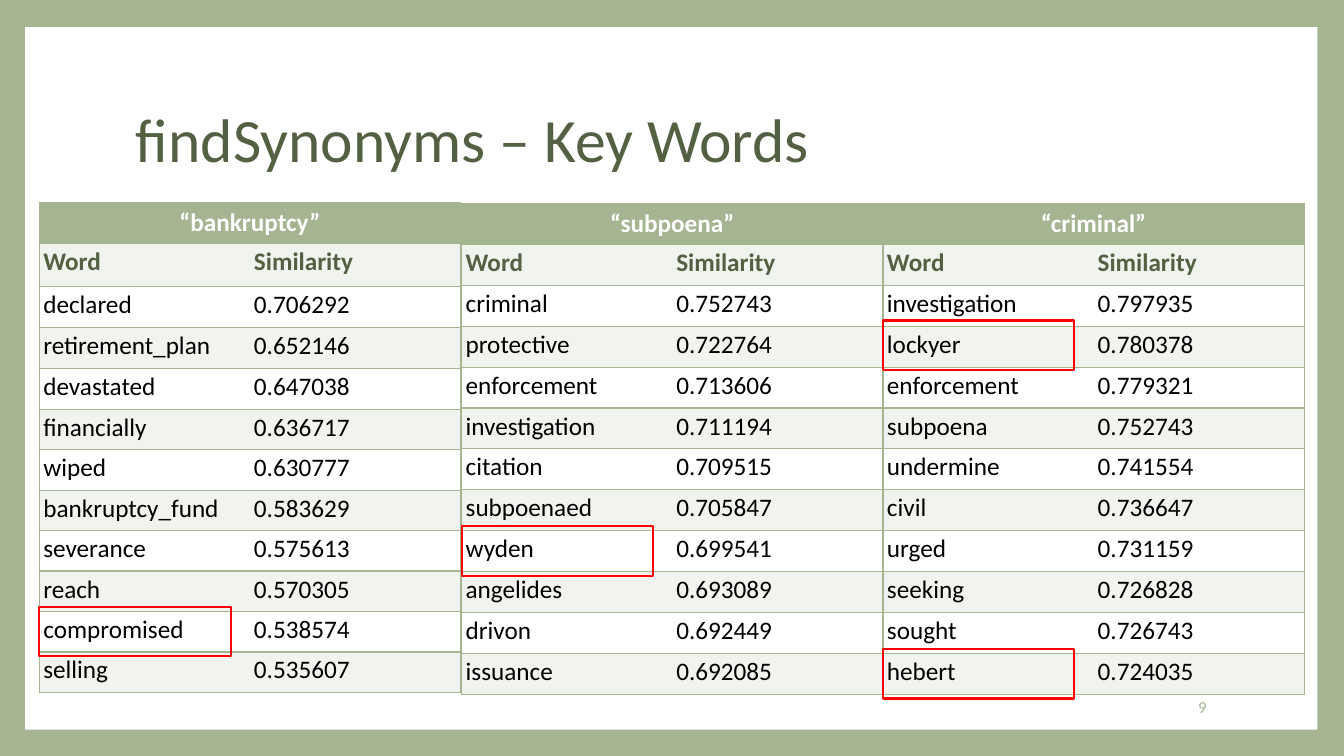
from lxml.etree import SubElement
from pptx import Presentation
from pptx.dml.color import RGBColor
from pptx.enum.shapes import MSO_SHAPE
from pptx.enum.text import MSO_ANCHOR, PP_ALIGN
from pptx.oxml.ns import qn
from pptx.util import Pt

SYNONYMS = [
    ("“bankruptcy”", (39, 201, 418, 486), (41, 42, 41, 41), [
        ("declared", "0.706292"), ("retirement_plan", "0.652146"),
        ("devastated", "0.647038"), ("financially", "0.636717"),
        ("wiped", "0.630777"), ("bankruptcy_fund", "0.583629"),
        ("severance", "0.575613"), ("reach", "0.570305"),
        ("compromised", "0.538574"), ("selling", "0.535607")]),
    ("“subpoena”", (458, 202, 418, 487), (), [
        ("criminal", "0.752743"), ("protective", "0.722764"),
        ("enforcement", "0.713606"), ("investigation", "0.711194"),
        ("citation", "0.709515"), ("subpoenaed", "0.705847"),
        ("wyden", "0.699541"), ("angelides", "0.693089"),
        ("drivon", "0.692449"), ("issuance", "0.692085")]),
    ("“criminal”", (876, 202, 418, 487), (), [
        ("investigation", "0.797935"), ("lockyer", "0.780378"),
        ("enforcement", "0.779321"), ("subpoena", "0.752743"),
        ("undermine", "0.741554"), ("civil", "0.736647"),
        ("urged", "0.731159"), ("seeking", "0.726828"),
        ("sought", "0.726743"), ("hebert", "0.724035")]),
]
HIGHLIGHTS = [(458, 522), (39, 602), (876, 644), (876, 318)]


def px(length):
    return round(length * 9144)


def color(value):
    return RGBColor.from_string(value)


class SlideBuilder:
    """Holds the style and the current slide, and draws each kind of element."""

    font = "Calibri"
    sage, pale, white = "A5B592", "F0F3EE", "FFFFFF"
    olive, black, red = "536142", "000000", "FF0000"

    def __init__(self, presentation):
        self.slide = presentation.slides.add_slide(presentation.slide_layouts[6])
        fill = self.slide.background.fill
        fill.solid()
        fill.fore_color.rgb = color(self.sage)

    def set_text(self, text_frame, text, size, ink, bold=False, align=PP_ALIGN.LEFT):
        text_frame.text = text
        paragraph = text_frame.paragraphs[0]
        paragraph.alignment = align
        font = paragraph.runs[0].font
        font.name, font.size, font.bold = self.font, Pt(size), bold
        font.color.rgb = color(ink)
        return paragraph

    def text(self, box, text, size, ink, align=PP_ALIGN.LEFT):
        text_frame = self.slide.shapes.add_textbox(*map(px, box)).text_frame
        text_frame.word_wrap = True
        text_frame.vertical_anchor = MSO_ANCHOR.MIDDLE
        return self.set_text(text_frame, text, size, ink, align=align)

    def rectangle(self, box, fill=None, line=None):
        shape = self.slide.shapes.add_shape(MSO_SHAPE.RECTANGLE, *map(px, box))
        shape.shadow.inherit = False
        if fill:
            shape.fill.solid()
            shape.fill.fore_color.rgb = color(fill)
        else:
            shape.fill.background()
        if line:
            shape.line.color.rgb = color(line)
            shape.line.width = Pt(1.5)
        else:
            shape.line.fill.background()

    def cell(self, cell, fill, sides):
        properties = cell._tc.get_or_add_tcPr()
        for side in "LRTB":
            border = SubElement(properties, qn(f"a:ln{side}"), w=str(Pt(1)))
            if side in sides:
                solid = SubElement(border, qn("a:solidFill"))
                SubElement(solid, qn("a:srgbClr"), val=self.sage)
            else:
                SubElement(border, qn("a:noFill"))
        cell.fill.solid()
        cell.fill.fore_color.rgb = color(fill)

    def table(self, box, keyword, leading_heights, synonyms):
        rows = [(keyword, ""), ("Word", "Similarity"), *synonyms]
        table = self.slide.shapes.add_table(len(rows), 2, *map(px, box)).table
        table.first_row = table.horz_banding = False
        remaining = len(rows) - len(leading_heights)
        shared_height = (box[3] - sum(leading_heights)) / remaining
        heights = [*leading_heights, *[shared_height] * remaining]
        table.cell(0, 0).merge(table.cell(0, 1))
        for index, (values, height) in enumerate(zip(rows, heights)):
            table.rows[index].height = px(height)
            for column, value in enumerate(values):
                cell = table.cell(index, column)
                if index == 0:
                    self.cell(cell, self.sage, "LRTB")
                    if value:
                        self.set_text(cell.text_frame, value, 18, self.white, True, PP_ALIGN.CENTER)
                    continue
                self.cell(cell, self.pale if index % 2 else self.white, ("LTB", "RTB")[column])
                cell.margin_left = cell.margin_right = px(4)
                cell.margin_top = cell.margin_bottom = px(3)
                heading = index == 1
                self.set_text(cell.text_frame, value, 18, self.olive if heading else self.black, heading)


def main():
    presentation = Presentation()
    presentation.slide_width, presentation.slide_height = px(1333.33), px(750)
    builder = SlideBuilder(presentation)
    builder.rectangle((25, 27, 1282, 697), fill=builder.white)
    title = builder.text((125, 67, 1080, 148), "findSynonyms – Key Words", 44, builder.olive)
    title.line_spacing = 0.9
    for keyword, box, leading_heights, synonyms in SYNONYMS:
        builder.table(box, keyword, leading_heights, synonyms)
    for left, top in HIGHLIGHTS:
        builder.rectangle((left, top, 190, 49), line=builder.red)
    builder.text((1020, 681, 187, 40), "9", 12, builder.sage, PP_ALIGN.RIGHT)
    presentation.save("out.pptx")


if __name__ == "__main__":
    main()
